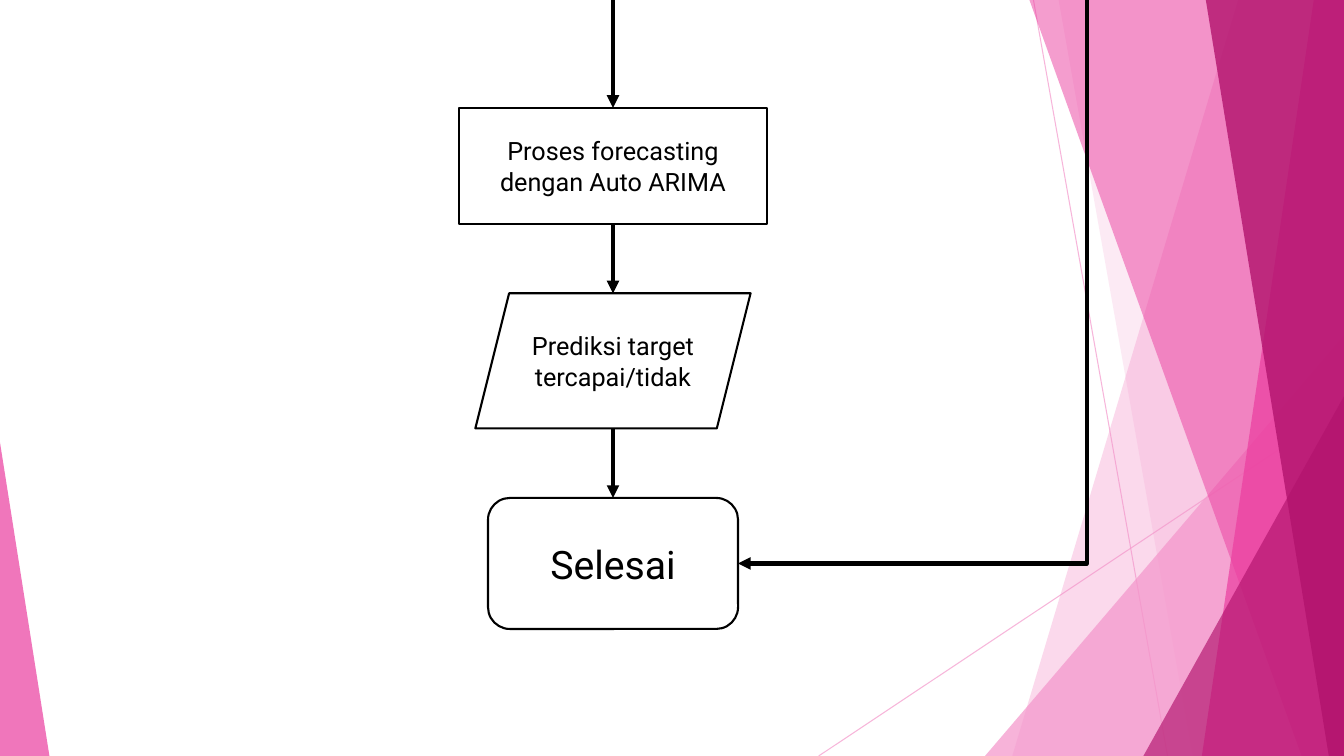
from lxml.etree import SubElement
from pptx import Presentation
from pptx.dml.color import RGBColor
from pptx.enum.shapes import MSO_CONNECTOR, MSO_SHAPE
from pptx.enum.text import MSO_ANCHOR, PP_ALIGN
from pptx.oxml.ns import qn
from pptx.util import Inches, Pt

WIDE, HIGH = 13.33, 7.5
COLORS = {"ink": "000000", "paper": "FFFFFF", "light": "F496CB",
          "pink": "EB3D9F", "dark": "B2136D"}

# Colour, opacity in percent, top left x, bottom left x
BANDS = [("light", 36, 12.28, 10.04), ("light", 20, 10.5, 11.83)]
BACK = [("pink", 50, 10.21, 12.91), ("pink", 70, 13.03, 11.92),
        ("dark", 80, 11.96, 13.18)]


def color(name):
    return RGBColor.from_string(COLORS[name])


def fade(shape, alpha):
    """Set the opacity of the shape's colours, in percent."""
    for clr in shape._element.iter(qn("a:srgbClr")):
        SubElement(clr, qn("a:alpha"), val=str(alpha * 1000))


def tint(shape, name, alpha):
    shape.shadow.inherit = False
    shape.fill.solid()
    shape.fill.fore_color.rgb = color(name)
    shape.line.fill.background()
    fade(shape, alpha)


def trace(slide, points, close):
    pen = slide.shapes.build_freeform(*map(Inches, points[0]))
    pen.add_line_segments([tuple(map(Inches, p)) for p in points[1:]], close)
    return pen.convert_to_shape()


def band(slide, name, alpha, top, base):
    """Fill from a slanted left edge to the right side of the slide."""
    edge = [(top, 0), (WIDE, 0), (WIDE, HIGH), (base, HIGH)]
    tint(trace(slide, edge, True), name, alpha)


def wedge(slide, box, apex, name, alpha):
    shape = slide.shapes.add_shape(MSO_SHAPE.ISOSCELES_TRIANGLE,
                                   *map(Inches, box))
    shape.adjustments[0] = apex
    tint(shape, name, alpha)


def link(slide, start, end, name, width):
    line = slide.shapes.add_connector(MSO_CONNECTOR.STRAIGHT,
                                      *map(Inches, start + end))
    line.line.color.rgb = color(name)
    line.line.width = Pt(width)
    SubElement(line._element.spPr, qn("a:effectLst"))
    return line


def point(shape):
    """End the shape's line in an arrowhead."""
    SubElement(shape.line._get_or_add_ln(), qn("a:tailEnd"), type="triangle")


def decor(slide):
    for start, end in [((10.25, 0), (11.58, HIGH)),
                       ((WIDE, 4.03), (8.12, HIGH))]:
        fade(link(slide, start, end, "light", 0.75), 70)
    for item in BANDS:
        band(slide, *item)
    wedge(slide, (9.77, 3.33, 3.56, 4.17), 1, "light", 72)
    for item in BACK:
        band(slide, *item)
    wedge(slide, (11.34, 3.93, 1.99, 3.57), 1, "dark", 66)
    wedge(slide, (0, 4.39, 0.49, 3.11), 0, "pink", 70)


def node(slide, kind, box, text, size):
    shape = slide.shapes.add_shape(kind, *map(Inches, box))
    shape.shadow.inherit = False
    shape.fill.solid()
    shape.fill.fore_color.rgb = color("paper")
    shape.line.color.rgb = color("ink")
    shape.line.width = Pt(1.5)
    frame = shape.text_frame
    frame.word_wrap = True
    frame.vertical_anchor = MSO_ANCHOR.MIDDLE
    para = frame.paragraphs[0]
    para.text = text
    para.alignment = PP_ALIGN.CENTER
    para.font.name = "Roboto"
    para.font.size = Pt(size)
    para.font.color.rgb = color("ink")


def flow(slide, mid, top, gap):
    """Stack the steps around mid, each entered by an arrow from above."""
    steps = [
        (MSO_SHAPE.RECTANGLE, 3.06, 1.15,
         "Proses forecasting dengan Auto ARIMA", 18),
        (MSO_SHAPE.PARALLELOGRAM, 2.73, 1.34,
         "Prediksi target tercapai/tidak", 18),
        (MSO_SHAPE.ROUNDED_RECTANGLE, 2.48, 1.3, "Selesai", 28),
    ]
    start = 0
    for kind, wide, high, text, size in steps:
        node(slide, kind, (mid - wide / 2, top, wide, high), text, size)
        point(link(slide, (mid, start), (mid, top), "ink", 3))
        start = top + high
        top = start + gap
    detour(slide, 10.78, (mid + wide / 2, start - high / 2))


def detour(slide, x, end):
    """Run down from the top edge at x, then left to the end point."""
    line = trace(slide, [(x, 0), (x, end[1]), end], False)
    line.shadow.inherit = False
    line.fill.background()
    line.line.color.rgb = color("ink")
    line.line.width = Pt(3)
    point(line)


def main():
    deck = Presentation()
    deck.slide_width, deck.slide_height = Inches(WIDE), Inches(HIGH)
    slide = deck.slides.add_slide(deck.slide_layouts[6])
    decor(slide)
    flow(slide, 6.08, 1.07, 0.69)
    deck.save("out.pptx")


if __name__ == "__main__":
    main()
